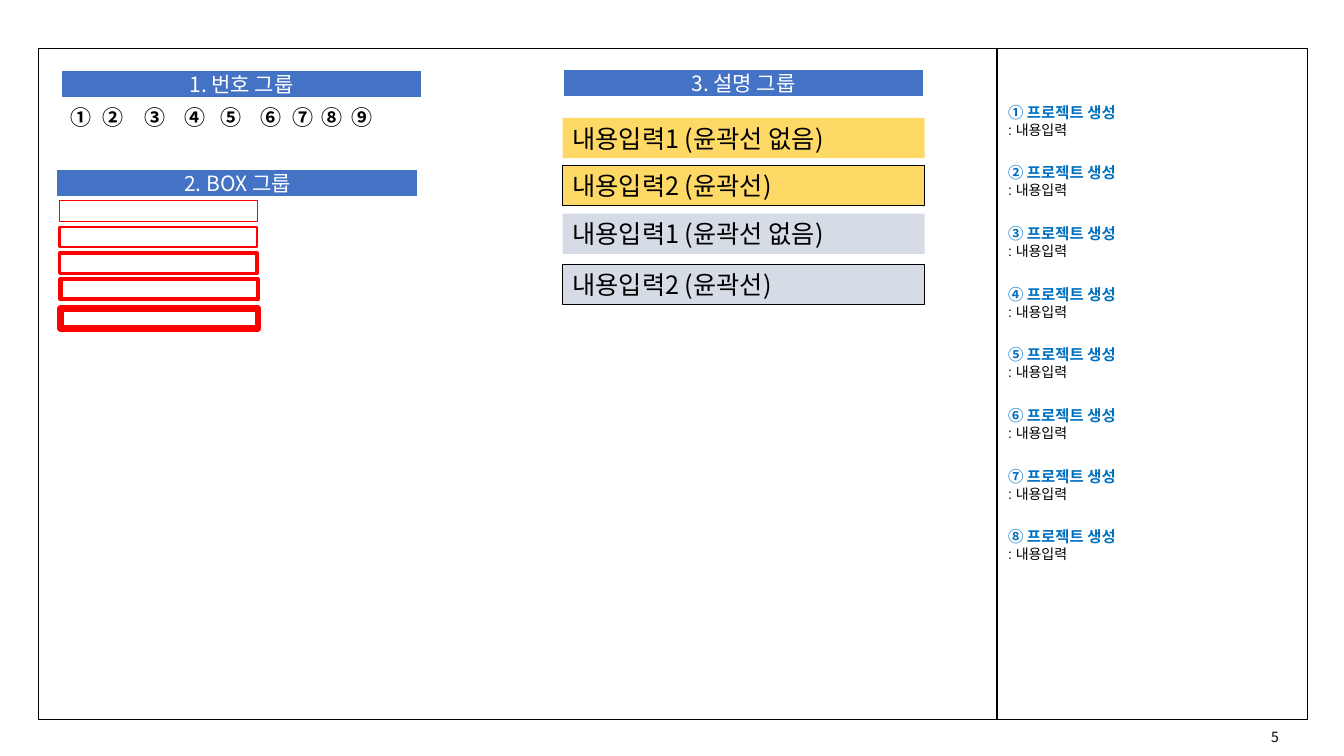
from lxml import etree
from pptx import Presentation
from pptx.dml.color import RGBColor
from pptx.enum import shapes, text
from pptx.oxml import ns
from pptx import util as u

KOREAN = "Noto Sans CJK KR"
NUMBERS = "①②③④⑤⑥⑦⑧⑨"


def colour(value):
    """Turn a hex string into a colour."""
    return RGBColor.from_string(value)


def style(para, size, value, bold=False, font=KOREAN):
    """Format every run of a paragraph, for Latin and Korean letters."""
    for span in para.runs:
        span.font.size = u.Pt(size)
        span.font.bold = bold
        span.font.name = font
        span.font.color.rgb = colour(value)
        east = etree.SubElement(span.font._element, ns.qn("a:ea"))
        east.set("typeface", KOREAN)


def add_rect(page, box, fill=None, line=None, weight=1):
    """Draw a rectangle; box is left, top, width, height in inches."""
    rect = page.shapes.add_shape(shapes.MSO_SHAPE.RECTANGLE, *map(u.Inches, box))
    rect.shadow.inherit = False
    if fill:
        rect.fill.solid()
        rect.fill.fore_color.rgb = colour(fill)
    else:
        rect.fill.background()
    if line:
        rect.line.color.rgb = colour(line)
        rect.line.width = u.Pt(weight)
    else:
        rect.line.fill.background()
    return rect


def add_text(page, box, words, wrap=False):
    """Place a text box and return its paragraphs."""
    frame = page.shapes.add_textbox(*map(u.Inches, box)).text_frame
    frame.word_wrap = wrap
    frame.auto_size = text.MSO_AUTO_SIZE.SHAPE_TO_FIT_TEXT
    frame.text = words
    return frame.paragraphs


def add_heading(page, left, top, words):
    """Draw a blue heading bar with centred text."""
    bar = add_rect(page, (left, top, 3.59, 0.28), "4472C4", "FFFFFF", 1.5)
    bar.text_frame.text = words
    bar.text_frame.vertical_anchor = text.MSO_ANCHOR.MIDDLE
    para = bar.text_frame.paragraphs[0]
    para.alignment = text.PP_ALIGN.CENTER
    style(para, 15, "FFFFFF")


def add_frame(page, left, top):
    """Draw the outlines of the work area and side panel, and the page number."""
    add_rect(page, (left + 9.51, top, 3.08, 6.66), line="000000")
    add_rect(page, (left, top, 9.51, 6.66), line="000000")
    number = add_text(page, (left + 12.13, top + 6.7, 0.38, 0.27), "5")
    style(number[0], 10, "000000")


def add_number_group(page, left, top):
    """Draw the heading and the row of circled numbers."""
    add_heading(page, left, top, "1. 번호 그룹")
    offsets = (0, 0.32, 0.73, 1.13, 1.49, 1.89, 2.2, 2.49, 2.79)
    for number, offset in zip(NUMBERS, offsets):
        paras = add_text(page, (left + offset, top + 0.3, 0.41, 0.35), number)
        style(paras[0], 15, "000000", bold=True)


def add_box_group(page, left, top):
    """Draw the heading and the red boxes of growing line width."""
    outlines = ((0.03, 0.31, 0.25), (0.03, 0.57, 1.5), (0.03, 0.83, 2.25),
                (0.04, 1.09, 3), (0.04, 1.38, 4.5))
    for across, down, weight in outlines:
        add_rect(page, (left + across, top + down, 1.96, 0.2),
                 line="FF0000", weight=weight)
    add_heading(page, left, top, "2. BOX 그룹")


def add_label_group(page, left, top):
    """Draw the heading and the filled labels, with and without outline."""
    add_heading(page, left, top, "3. 설명 그룹")
    plain, outlined = "내용입력1 (윤곽선 없음)", "내용입력2 (윤곽선)"
    labels = ((0.49, "FFD966", None, plain), (0.96, "FFD966", "000000", outlined),
              (1.44, "D6DCE5", None, plain), (1.94, "D6DCE5", "000000", outlined))
    for down, fill, line, words in labels:
        label = add_rect(page, (left, top + down, 3.59, 0.4), fill, line, 0.75)
        frame = label.text_frame
        frame.text = words
        frame.vertical_anchor = text.MSO_ANCHOR.TOP
        frame.auto_size = text.MSO_AUTO_SIZE.SHAPE_TO_FIT_TEXT
        frame.paragraphs[0].alignment = text.PP_ALIGN.LEFT
        style(frame.paragraphs[0], 18, "000000")


def add_notes_panel(page, left, top):
    """List the numbered descriptions at an equal pitch."""
    for row, number in enumerate(NUMBERS[:8]):
        title, body = add_text(page, (left, top + row * 0.602, 3.06, 0.62),
                               f"{number} 프로젝트 생성\n: 내용입력", wrap=True)
        style(title, 11, "0070C0", bold=True, font="Arial")
        style(body, 10, "000000", font="Arial")


def main():
    """Build the slide and save the deck."""
    deck = Presentation()
    deck.slide_width, deck.slide_height = u.Inches(13.33), u.Inches(7.5)
    page = deck.slides.add_slide(deck.slide_layouts[6])
    add_frame(page, 0.38, 0.48)
    add_number_group(page, 0.6, 0.69)
    add_notes_panel(page, 9.9, 0.97)
    add_box_group(page, 0.56, 1.68)
    add_label_group(page, 5.58, 0.68)
    deck.save("out.pptx")


main()
